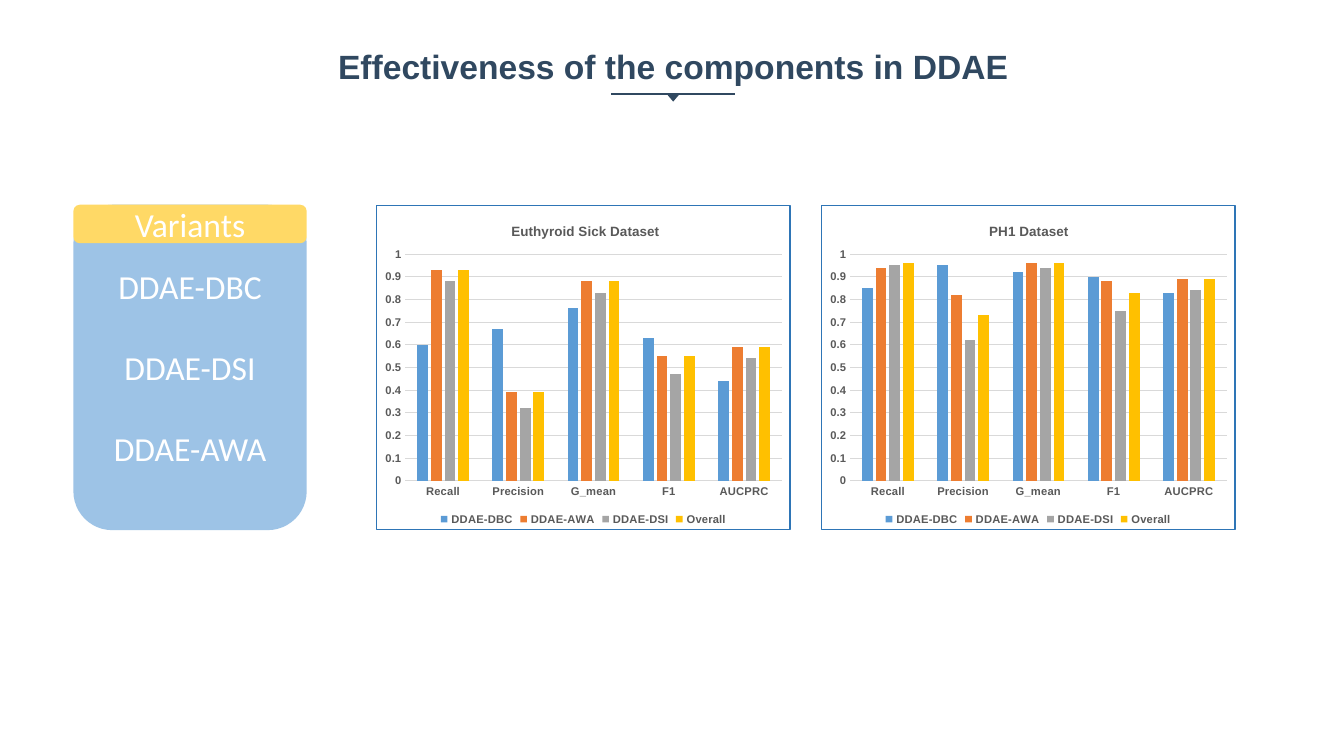
import pptx
import pptx.chart.data
import pptx.dml.color
import pptx.enum.chart
import pptx.enum.shapes
import pptx.enum.text
import pptx.oxml
import pptx.oxml.ns
import pptx.util
from dataclasses import dataclass

Cm, Pt = pptx.util.Cm, pptx.util.Pt
RGB = pptx.dml.color.RGBColor.from_string
SHAPE = pptx.enum.shapes.MSO_SHAPE
CENTER = pptx.enum.text.PP_ALIGN.CENTER
MIDDLE = pptx.enum.text.MSO_ANCHOR.MIDDLE
CHART = pptx.enum.chart

TITLE = "Effectiveness of the components in DDAE"
HEAD = "Variants"
VARIANTS = ["DDAE-DBC", "DDAE-DSI", "DDAE-AWA"]
METRICS = ["Recall", "Precision", "G_mean", "F1", "AUCPRC"]
# title, left edge of the title as a share of the chart, series
CHARTS = [
    ("Euthyroid Sick Dataset", 0.32, {
        "DDAE-DBC": (0.6, 0.67, 0.76, 0.63, 0.44),
        "DDAE-AWA": (0.93, 0.39, 0.88, 0.55, 0.59),
        "DDAE-DSI": (0.88, 0.32, 0.83, 0.47, 0.54),
        "Overall": (0.93, 0.39, 0.88, 0.55, 0.59)}),
    ("PH1 Dataset", 0.4, {
        "DDAE-DBC": (0.85, 0.95, 0.92, 0.9, 0.83),
        "DDAE-AWA": (0.94, 0.82, 0.96, 0.88, 0.89),
        "DDAE-DSI": (0.95, 0.62, 0.94, 0.75, 0.84),
        "Overall": (0.96, 0.73, 0.96, 0.83, 0.89)}),
]


@dataclass(frozen=True)
class Theme:
    navy: str = "304860"
    panel: str = "9DC3E6"
    head: str = "FFD966"
    white: str = "FFFFFF"
    label: str = "595959"
    grid: str = "D9D9D9"
    border: str = "2E75B6"
    bars: tuple = ("5B9BD5", "ED7D31", "A5A5A5", "FFC000")
    sans: str = "Arial"
    body: str = "Calibri"
    big: float = 24
    mid: float = 9.6
    small: float = 8


theme = Theme()
WIDTH, HEIGHT = 33.87, 19.05
TOP, TALL = 5.16, 8.2
LEFT, WIDE = 1.85, 5.88
CHART_X, CHART_W, STEP = 9.47, 10.46, 11.21


def style(font, size, color, face, bold=False):
    font.size, font.name, font.bold = Pt(size), face, bold
    font.color.rgb = RGB(color)


def write(frame, lines, size, color, face, bold=False, gap=0):
    frame.vertical_anchor = MIDDLE
    for i, line in enumerate(lines):
        para = frame.add_paragraph() if i else frame.paragraphs[0]
        para.text, para.alignment = line, CENTER
        if i:
            para.space_before = Pt(gap)
        style(para.font, size, color, face, bold)


def block(slide, kind, box, fill):
    shape = slide.shapes.add_shape(kind, *map(Cm, box))
    shape.shadow.inherit = False
    shape.fill.solid()
    shape.fill.fore_color.rgb = RGB(fill)
    shape.line.fill.background()
    return shape


def xml(text):
    space = pptx.oxml.ns.nsdecls("c", "a")
    return pptx.oxml.parse_xml(text.replace(">", f" {space}>", 1))


def layout(node, index, target="", **parts):
    """Fix the place of a chart part as shares of the whole chart."""
    for old in node.findall(pptx.oxml.ns.qn("c:layout")):
        node.remove(old)
    modes = "".join(f'<c:{k}Mode val="edge"/>' for k in "xy")
    sizes = "".join(f'<c:{k} val="{v}"/>' for k, v in parts.items())
    node.insert(index, xml(f"<c:layout><c:manualLayout>{target}{modes}{sizes}"
                           "</c:manualLayout></c:layout>"))


def frame_chart(chart):
    """Give the chart a white ground and a thin border."""
    root = chart._chartSpace
    root.find(pptx.oxml.ns.qn("c:txPr")).addprevious(xml(
        f'<c:spPr><a:solidFill><a:srgbClr val="{theme.white}"/></a:solidFill>'
        f'<a:ln w="{Pt(1)}"><a:solidFill><a:srgbClr val="{theme.border}"/>'
        "</a:solidFill></a:ln></c:spPr>"))


def add_bars(slide, left, title, title_x, rows):
    data = pptx.chart.data.CategoryChartData()
    data.categories = METRICS
    for name, vals in rows.items():
        data.add_series(name, vals)
    chart = slide.shapes.add_chart(
        CHART.XL_CHART_TYPE.COLUMN_CLUSTERED,
        *map(Cm, (left, TOP, CHART_W, TALL)), data).chart
    look = (theme.small, theme.label, theme.sans, True)
    style(chart.font, *look)
    frame_chart(chart)

    chart.has_title = True
    para = chart.chart_title.text_frame.paragraphs[0]
    para.text = title
    style(para.font, theme.mid, theme.label, theme.sans, True)
    layout(chart.chart_title._element, 1, x=title_x, y=0.045)
    layout(chart._chartSpace.chart.plotArea, 0,
           '<c:layoutTarget val="inner"/>', x=0.07, y=0.15, w=0.91, h=0.7)

    chart.has_legend = True
    chart.legend.position = CHART.XL_LEGEND_POSITION.BOTTOM
    chart.legend.include_in_layout = False
    style(chart.legend.font, *look)

    plot = chart.plots[0]
    plot.gap_width, plot.overlap, plot.vary_by_categories = 219, -27, False
    for series, color in zip(plot.series, theme.bars):
        series.format.fill.solid()
        series.format.fill.fore_color.rgb = RGB(color)

    cats, vals = chart.category_axis, chart.value_axis
    for axis in (cats, vals):
        axis.major_tick_mark = axis.minor_tick_mark = CHART.XL_TICK_MARK.NONE
        style(axis.tick_labels.font, *look)
    vals.minimum_scale, vals.maximum_scale, vals.major_unit = 0, 1, 0.1
    vals.format.line.fill.background()
    for line in (cats.format.line, vals.major_gridlines.format.line):
        line.color.rgb, line.width = RGB(theme.grid), Pt(0.75)


def add_title(slide):
    mid, rule = WIDTH / 2 + 0.03, 2.36
    box = slide.shapes.add_textbox(*map(Cm, (mid - 8.78, 1.02, 17.56, 1.27)))
    box.text_frame.word_wrap = False
    write(box.text_frame, [TITLE], theme.big, theme.navy, theme.sans, True)
    line = slide.shapes.add_connector(
        pptx.enum.shapes.MSO_CONNECTOR.STRAIGHT,
        *map(Cm, (mid - 1.56, rule, mid + 1.56, rule)))
    line.line.color.rgb, line.line.width = RGB(theme.navy), Pt(1.5)
    line._element.spPr.append(xml("<a:effectLst></a:effectLst>"))
    mark = block(slide, SHAPE.ISOSCELES_TRIANGLE,
                 (mid - 0.17, rule, 0.34, 0.2), theme.navy)
    mark.rotation = 180


def add_panel(slide):
    parts = [(VARIANTS, TALL, theme.panel), ([HEAD], 0.97, theme.head)]
    for lines, tall, fill in parts:
        shape = block(slide, SHAPE.ROUNDED_RECTANGLE,
                      (LEFT, TOP, WIDE, tall), fill)
        write(shape.text_frame, lines, theme.big, theme.white, theme.body,
              gap=29)


def main():
    deck = pptx.Presentation()
    deck.slide_width, deck.slide_height = Cm(WIDTH), Cm(HEIGHT)
    slide = deck.slides.add_slide(deck.slide_layouts[6])
    add_title(slide)
    for i, (title, title_x, rows) in enumerate(CHARTS):
        add_bars(slide, CHART_X + i * STEP, title, title_x, rows)
    add_panel(slide)
    deck.save("out.pptx")


if __name__ == "__main__":
    main()
